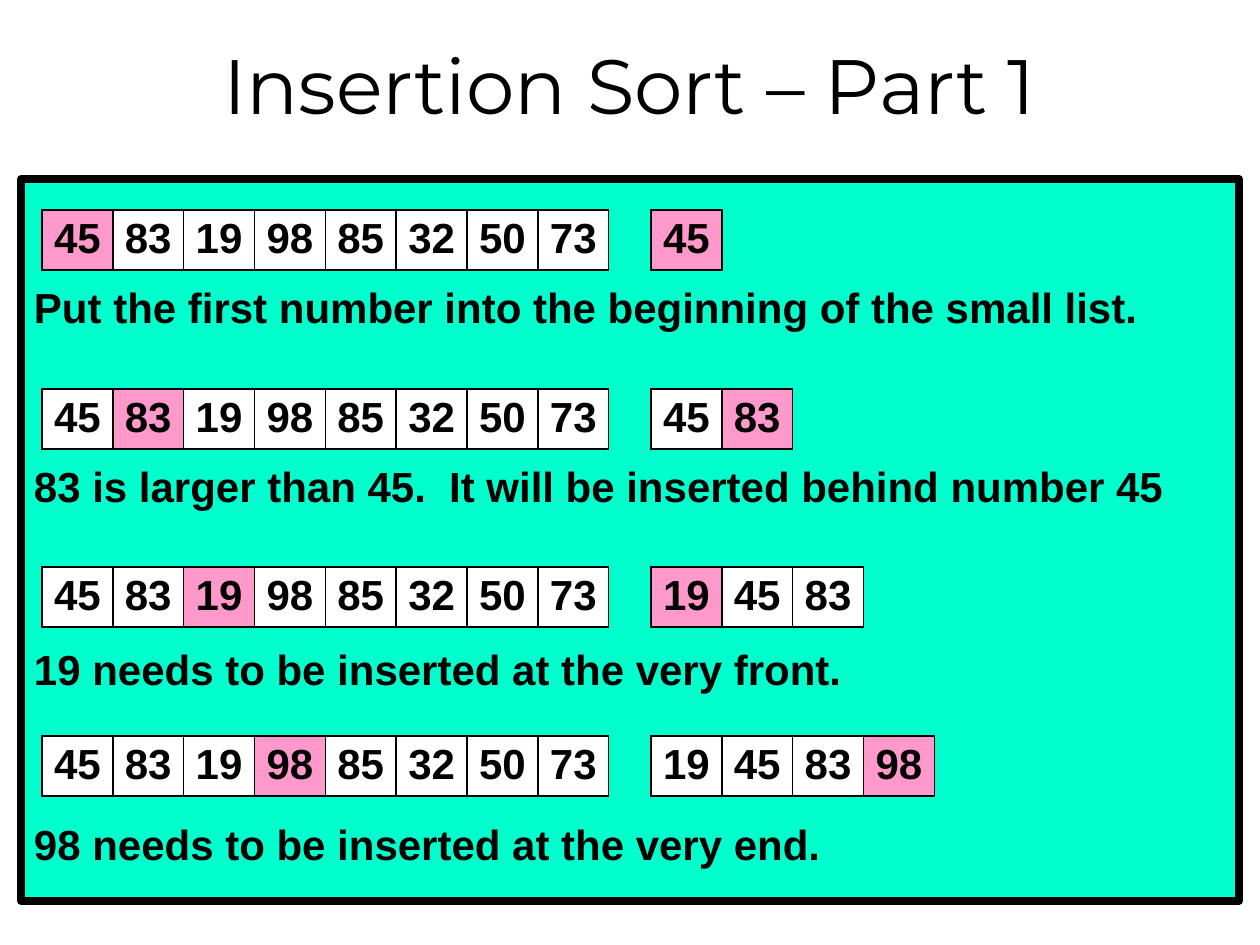
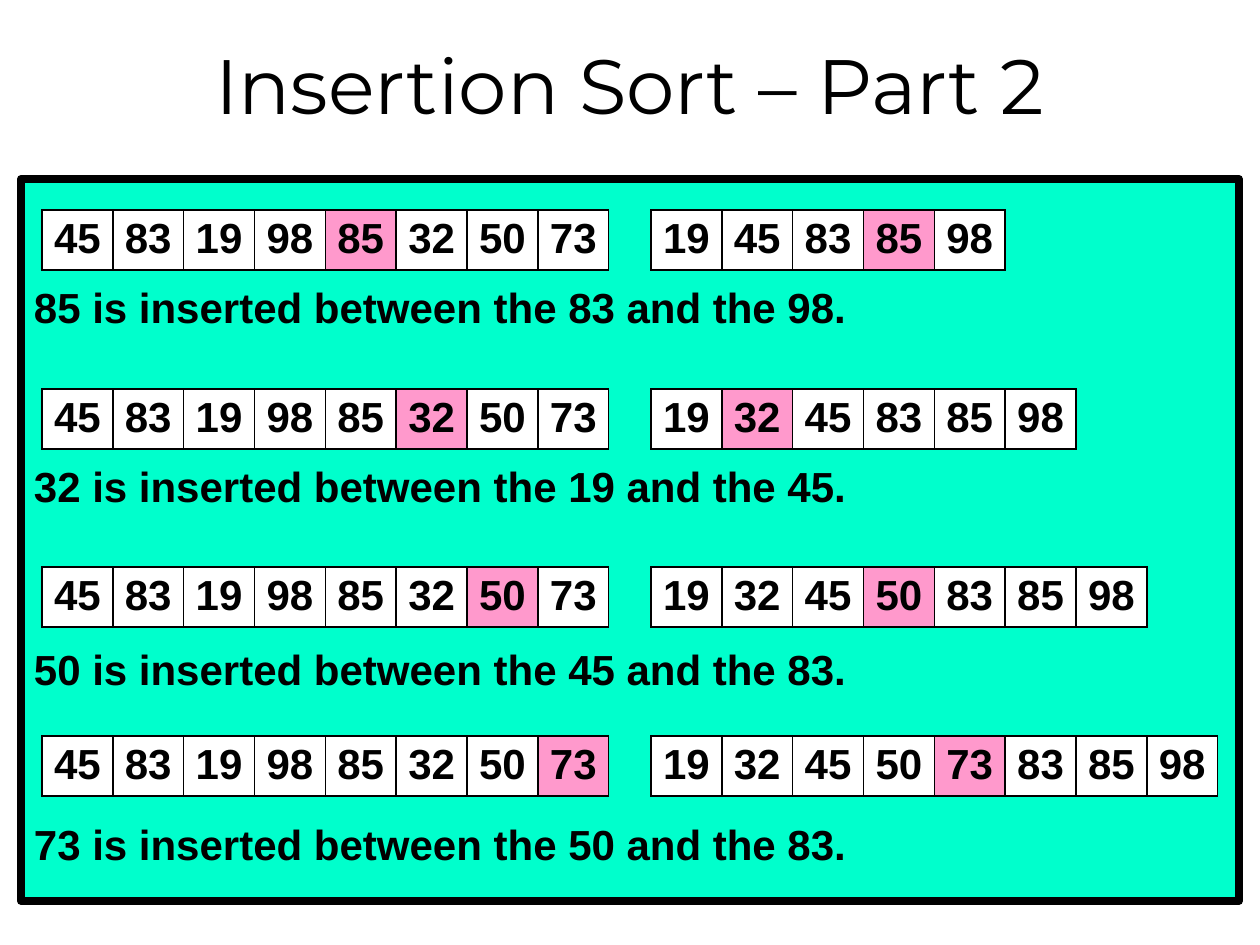
from lxml.etree import SubElement
from pptx import Presentation
from pptx.dml.color import RGBColor
from pptx.enum.shapes import MSO_SHAPE
from pptx.enum.text import MSO_ANCHOR, MSO_AUTO_SIZE, PP_ALIGN
from pptx.oxml.ns import qn
from pptx.util import Pt

PX_PER_INCH = 126
COLORS = {"ink": "000000", "panel": "00FFCC", "cell": "FFFFFF", "current": "FF99CC"}
NUMBERS = [45, 83, 19, 98, 85, 32, 50, 73]
CELL_WIDTH = 567 * 914400 // PX_PER_INCH // len(NUMBERS)
TITLE_BOX = (0, 32, 1260, 104)
PANEL_BOX = (21, 179, 1218, 722)
ROW_TOPS = (31, 210, 388, 557)
FULL_LIST_LEFT, SMALL_LIST_LEFT, ROW_HEIGHT = 21, 630, 60
CAPTION_TOP = 103
CAPTION_GAPS = (0, 73, 76, 71)

PARTS = {
    "Insertion Sort – Part 1": [
        "Put the first number into the beginning of the small list.",
        "83 is larger than 45.  It will be inserted behind number 45",
        "19 needs to be inserted at the very front.",
        "98 needs to be inserted at the very end.",
    ],
    "Insertion Sort – Part 2": [
        "85 is inserted between the 83 and the 98.",
        "32 is inserted between the 19 and the 45.",
        "50 is inserted between the 45 and the 83.",
        "73 is inserted between the 50 and the 83.",
    ],
}


def px(length):
    return length * 914400 // PX_PER_INCH


def color(key):
    return RGBColor.from_string(COLORS[key])


def write(paragraph, text, size=24, font="Arial", bold=True,
          align=PP_ALIGN.CENTER, before=0):
    paragraph.alignment = align
    paragraph.space_before = Pt(before)
    run = paragraph.add_run()
    run.text = text
    run.font.size = Pt(size)
    run.font.name = font
    run.font.bold = bold
    run.font.color.rgb = color("ink")


def set_margins(holder, left, top, right, bottom):
    holder.margin_left, holder.margin_top = px(left), px(top)
    holder.margin_right, holder.margin_bottom = px(right), px(bottom)


def add_borders(cell):
    properties = cell._tc.get_or_add_tcPr()
    for side in ("lnL", "lnR", "lnT", "lnB"):
        border = SubElement(properties, qn(f"a:{side}"), w=str(Pt(1)))
        fill = SubElement(border, qn("a:solidFill"))
        SubElement(fill, qn("a:srgbClr"), val=COLORS["ink"])


def add_title(slide, text, box):
    title = slide.shapes.title
    title.left, title.top, title.width, title.height = map(px, box)
    frame = title.text_frame
    frame.auto_size = MSO_AUTO_SIZE.NONE
    frame.vertical_anchor = MSO_ANCHOR.MIDDLE
    write(frame.paragraphs[0], text, size=44, font="Montserrat", bold=False)


def add_panel(slide, captions, box):
    panel = slide.shapes.add_shape(MSO_SHAPE.RECTANGLE, *map(px, box))
    panel.shadow.inherit = False
    panel.fill.solid()
    panel.fill.fore_color.rgb = color("panel")
    panel.line.color.rgb = color("ink")
    panel.line.width = Pt(4.5)
    frame = panel.text_frame
    frame.word_wrap = True
    frame.vertical_anchor = MSO_ANCHOR.TOP
    set_margins(frame, 13, CAPTION_TOP, 13, 6)
    for index, (caption, gap) in enumerate(zip(captions, CAPTION_GAPS)):
        paragraph = frame.add_paragraph() if index else frame.paragraphs[0]
        write(paragraph, caption, align=PP_ALIGN.LEFT, before=gap)


def add_number_list(slide, numbers, current, left, top):
    number_list = slide.shapes.add_table(
        1, len(numbers), px(left), px(top),
        CELL_WIDTH * len(numbers), px(ROW_HEIGHT)).table
    number_list.first_row = False
    number_list.horz_banding = False
    for column, number in enumerate(numbers):
        number_list.columns[column].width = CELL_WIDTH
        cell = number_list.cell(0, column)
        set_margins(cell, 6, 6, 6, 6)
        add_borders(cell)
        cell.fill.solid()
        cell.fill.fore_color.rgb = color("current" if number == current else "cell")
        write(cell.text_frame.paragraphs[0], str(number))


def add_sort_steps(slide, first_step, box):
    left, top = box[:2]
    for step, row_top in enumerate(ROW_TOPS, first_step):
        current = NUMBERS[step]
        small_list = sorted(NUMBERS[:step + 1])
        add_number_list(slide, NUMBERS, current, left + FULL_LIST_LEFT, top + row_top)
        add_number_list(slide, small_list, current, left + SMALL_LIST_LEFT, top + row_top)


def main():
    deck = Presentation()
    deck.slide_width, deck.slide_height = px(1260), px(945)
    for part, (title, captions) in enumerate(PARTS.items()):
        slide = deck.slides.add_slide(deck.slide_layouts[5])
        add_title(slide, title, TITLE_BOX)
        add_panel(slide, captions, PANEL_BOX)
        add_sort_steps(slide, part * len(ROW_TOPS), PANEL_BOX)
    deck.save("out.pptx")


if __name__ == "__main__":
    main()
